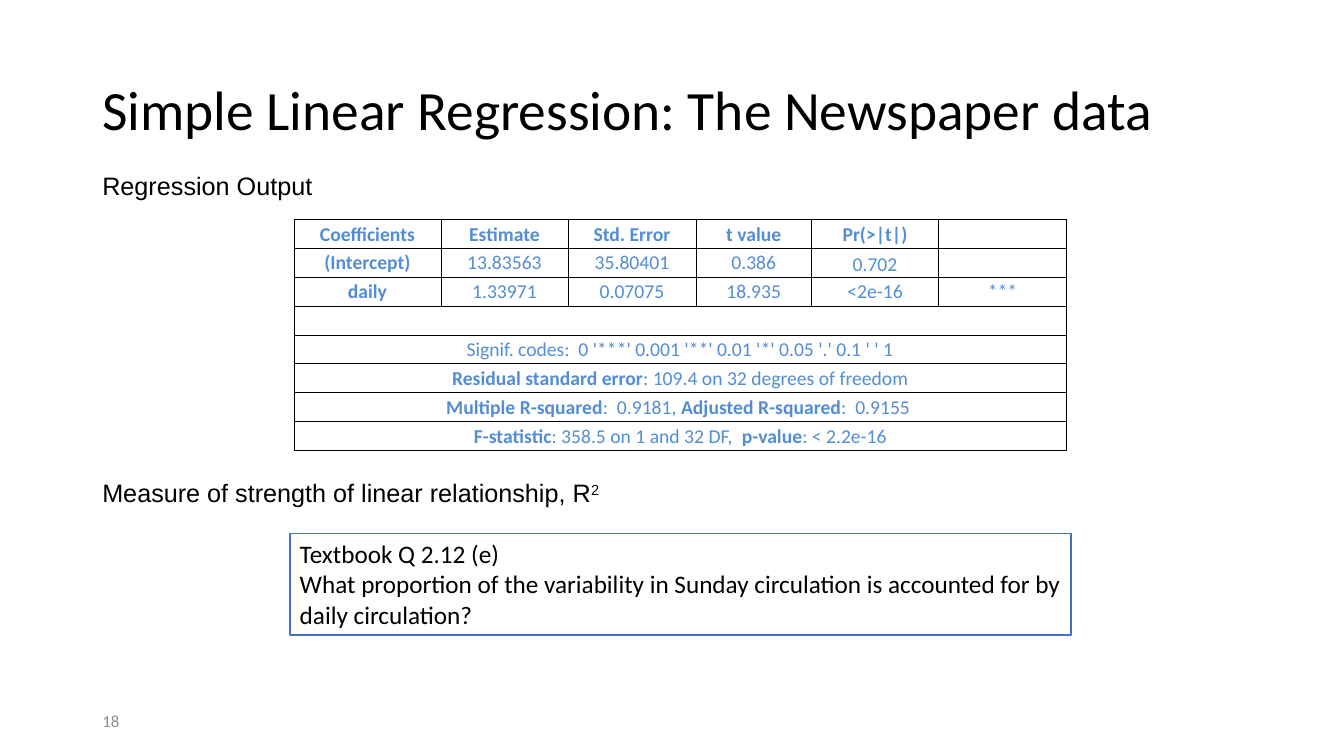
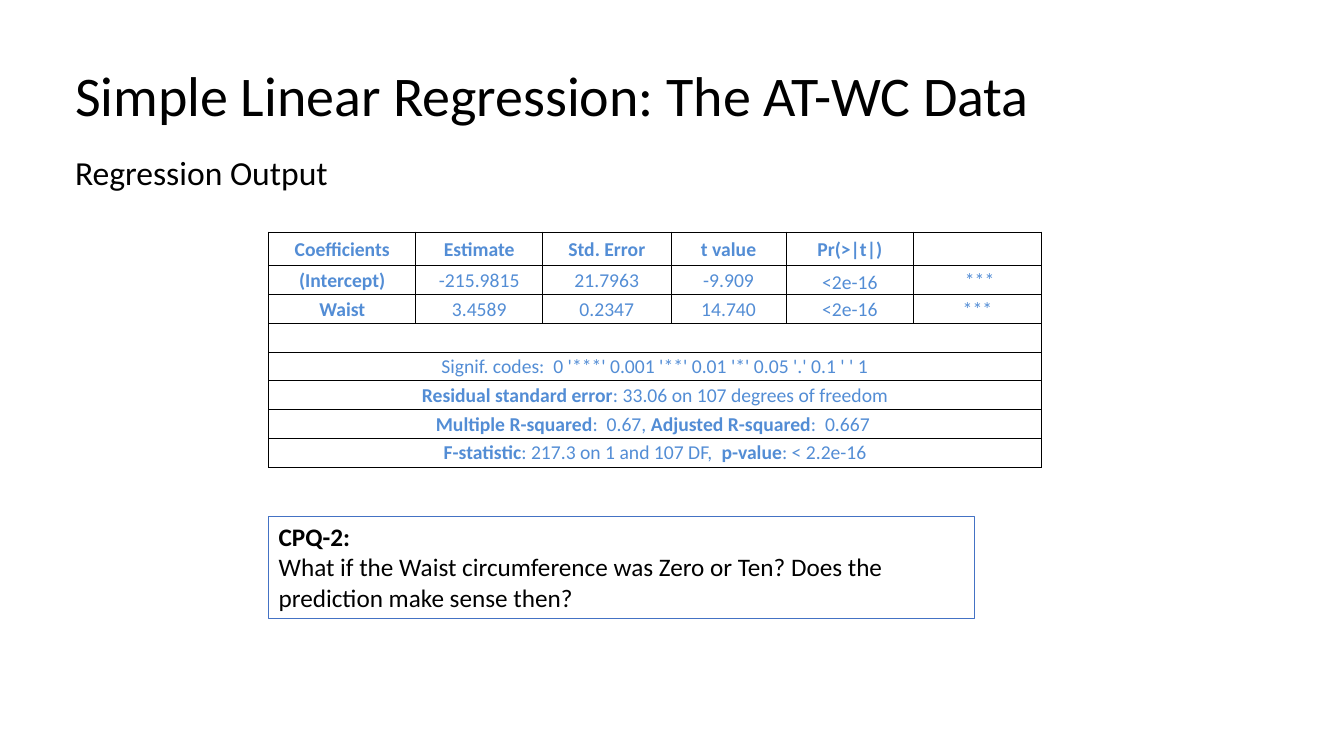
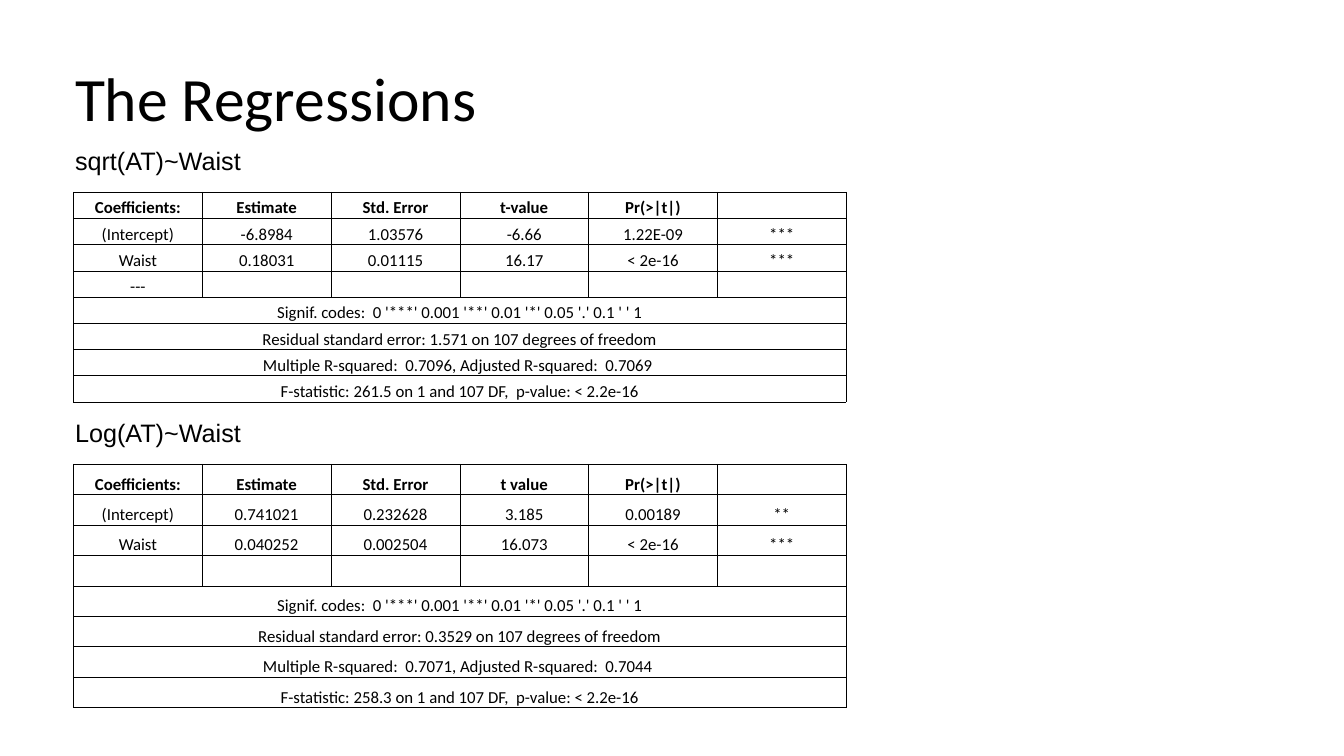
from lxml import etree
from pptx import Presentation
from pptx.dml.color import RGBColor
from pptx.enum.shapes import MSO_SHAPE
from pptx.enum.text import MSO_ANCHOR, PP_ALIGN
from pptx.oxml.ns import qn
from pptx.util import Pt

PX = 9525
TOP, MIDDLE, BOTTOM = MSO_ANCHOR.TOP, MSO_ANCHOR.MIDDLE, MSO_ANCHOR.BOTTOM
CENTER = PP_ALIGN.CENTER
RECT = MSO_SHAPE.RECTANGLE
BLANK = 6
COLORS = {"ink": "000000", "paper": "FFFFFF", "blue": "538DD5",
          "frame": "4472C4", "gray": "8C8C8C"}
BODY, LABEL = "Calibri", "Arial"
COLUMNS = [140, 121, 122, 110, 121, 122]
SIGNIF = ["Signif. codes:  0 '***' 0.001 '**' 0.01 '*' 0.05 '.' 0.1 ' ' 1"]


def emu(*lengths):
    return [round(n * PX) for n in lengths]


def color(name):
    return RGBColor.from_string(COLORS[name])


def add_runs(p, runs, size, font=BODY, ink="ink"):
    for text, bold in runs:
        r = p.add_run()
        r.text = text
        for key, value in {"size": Pt(size), "name": font, "bold": bold}.items():
            setattr(r.font, key, value)
        r.font.color.rgb = color(ink)


def add_text(s, box, text, size, font=BODY, ink="ink", anchor=TOP, spacing=None):
    tf = s.shapes.add_textbox(*emu(*box)).text_frame
    tf.word_wrap = True
    tf.vertical_anchor = anchor
    p = tf.paragraphs[0]
    if spacing:
        p.line_spacing = spacing
    add_runs(p, [(text, False)], size, font, ink)
    return p


def add_title(s, box, text, size, anchor=MIDDLE, spacing=0.9):
    add_text(s, box, text, size, anchor=anchor, spacing=spacing)


def add_label(s, box, text):
    return add_text(s, box, text, 18, LABEL)


def add_question(s, box, heading, question, bold=False):
    sp = s.shapes.add_shape(RECT, *emu(*box))
    sp.shadow.inherit = False
    sp.fill.solid()
    sp.fill.fore_color.rgb = color("paper")
    sp.line.color.rgb = color("frame")
    sp.line.width = Pt(1)
    tf = sp.text_frame
    tf.word_wrap = True
    tf.vertical_anchor = TOP
    for i, run in enumerate([(heading, bold), (question, False)]):
        p = tf.add_paragraph() if i else tf.paragraphs[0]
        p.alignment = PP_ALIGN.LEFT
        add_runs(p, [run], 18)


def add_borders(cell):
    tcPr = cell._tc.get_or_add_tcPr()
    for i, side in enumerate(("lnL", "lnR", "lnT", "lnB")):
        ln = etree.Element(qn("a:" + side), w=str(Pt(0.5)))
        fill = etree.SubElement(ln, qn("a:solidFill"))
        etree.SubElement(fill, qn("a:srgbClr"), val=COLORS["ink"])
        tcPr.insert(i, ln)


def fill_cell(cell, runs, size, ink, anchor):
    margins = {"margin_left": 1, "margin_right": 1, "margin_top": 1, "margin_bottom": 0}
    for key, value in margins.items():
        setattr(cell, key, value * PX)
    cell.vertical_anchor = anchor
    cell.fill.background()
    add_borders(cell)
    p = cell.text_frame.paragraphs[0]
    p.alignment = CENTER
    if runs:
        add_runs(p, runs, size, ink=ink)
    else:
        p._p.get_or_add_endParaRPr().set("sz", str(size * 100))


def add_output(s, box, rows, widths, head, size, ink, anchor, bold_labels, low=()):
    x, y, w, h = box
    tbl = s.shapes.add_table(len(rows), len(widths), *emu(*box)).table
    tbl.first_row = tbl.horz_banding = False
    for column, width in zip(tbl.columns, emu(*widths)):
        column.width = width
    rest = (h - head) / (len(rows) - 1)
    for i, row in enumerate(rows):
        tbl.rows[i].height = emu(rest if i else head)[0]
        wide = len(row) == 1
        for j in range(len(widths)):
            part = row[j] if j < len(row) else ""
            if isinstance(part, tuple):
                runs = [(t, bold_labels and k % 2 == 0) for k, t in enumerate(part)]
            else:
                bold = i == 0 or (bold_labels and j == 0 and not wide)
                runs = [(part, bold)] if part else []
            fill_cell(tbl.cell(i, j), runs, size, ink, BOTTOM if (i, j) in low else anchor)
        if wide:
            tbl.cell(i, 0).merge(tbl.cell(i, len(widths) - 1))


def output_rows(first, t_label, coefficients, gap, error, df, r2, adjusted, f):
    return [
        [first, "Estimate", "Std. Error", t_label, "Pr(>|t|)", ""],
        *coefficients,
        gap,
        SIGNIF,
        [("Residual standard error", f": {error} on {df} degrees of freedom")],
        [("Multiple R-squared", f":  {r2}, ", "Adjusted R-squared", f":  {adjusted} ")],
        [("F-statistic", f": {f} on 1 and {df} DF,  ", "p-value", ": < 2.2e-16")],
    ]


def add_blue_output(s, box, head, coefficients, *fit):
    rows = output_rows("Coefficients", "t value", coefficients, [""], *fit)
    add_output(s, box, rows, COLUMNS, head, 14, "blue", MIDDLE, True, {(1, 4)})


def add_plain_output(s, box, t_label, coefficients, gap, *fit):
    rows = output_rows("Coefficients:", t_label, coefficients, gap, *fit)
    add_output(s, box, rows, [box[2] / 6] * 6, box[3] / 8, 12, "ink", BOTTOM, False)


def newspaper_slide(s):
    add_title(s, (88, 63, 1074, 88), "Simple Linear Regression: The Newspaper data", 39.6)
    add_label(s, (88, 157, 352, 38), "Regression Output")
    add_blue_output(s, (280, 209, 736, 220), 27.5, [
        ["(Intercept)", "13.83563", "35.80401", "0.386", "0.702", ""],
        ["daily", "1.33971", "0.07075", "18.935", "<2e-16", "***"],
    ], "109.4", 32, "0.9181", "0.9155", "358.5")
    p = add_label(s, (88, 450, 648, 38), "Measure of strength of linear relationship, R")
    add_runs(p, [("2", False)], 18, LABEL)
    p.runs[-1].font._element.set("baseline", "30000")
    add_question(s, (276, 508, 744, 97), "Textbook Q 2.12 (e)",
                 "What proportion of the variability in Sunday circulation is "
                 "accounted for by daily circulation?")
    add_text(s, (88, 667, 288, 38), "18", 12, ink="gray", anchor=MIDDLE)


def waist_slide(s):
    add_title(s, (62, 78, 928, 48), "Simple Linear Regression: The AT-WC Data", 40, BOTTOM, None)
    add_text(s, (62, 144, 928, 56), "Regression Output", 24, spacing=0.9)
    add_blue_output(s, (256, 221, 736, 224), 32, [
        ["(Intercept)", "-215.9815", "21.7963", "-9.909", "<2e-16", " ***"],
        ["Waist", "3.4589", "0.2347", "14.740", "<2e-16", "***"],
    ], "33.06", 107, "0.67", "0.667", "217.3")
    add_question(s, (256, 492, 672, 97), "CPQ-2:",
                 "What if the Waist circumference was Zero or Ten? Does the "
                 "prediction make sense then?", True)


def regressions_slide(s):
    add_title(s, (62, 53, 928, 88), "The Regressions", 44)
    add_label(s, (62, 134, 208, 38), "sqrt(AT)~Waist")
    add_plain_output(s, (70, 183, 736, 200), "t-value", [
        ["(Intercept)", "-6.8984", "1.03576", "-6.66", "1.22E-09", "***"],
        ["Waist", "0.18031", "0.01115", "16.17", "< 2e-16", "***"],
    ], ["---"] + [""] * 5, "1.571", 107, "0.7096", "0.7069", "261.5")
    add_label(s, (62, 393, 208, 38), "Log(AT)~Waist")
    add_plain_output(s, (70, 442, 736, 232), "t value", [
        ["(Intercept)", "0.741021", "0.232628", "3.185", "0.00189", "**"],
        ["Waist", "0.040252", "0.002504", "16.073", "< 2e-16", "***"],
    ], [""] * 6, "0.3529", 107, "0.7071", "0.7044", "258.3")


def main():
    prs = Presentation()
    prs.slide_width, prs.slide_height = emu(1280, 720)
    for build in (newspaper_slide, waist_slide, regressions_slide):
        build(prs.slides.add_slide(prs.slide_layouts[BLANK]))
    prs.save("out.pptx")


if __name__ == "__main__":
    main()
